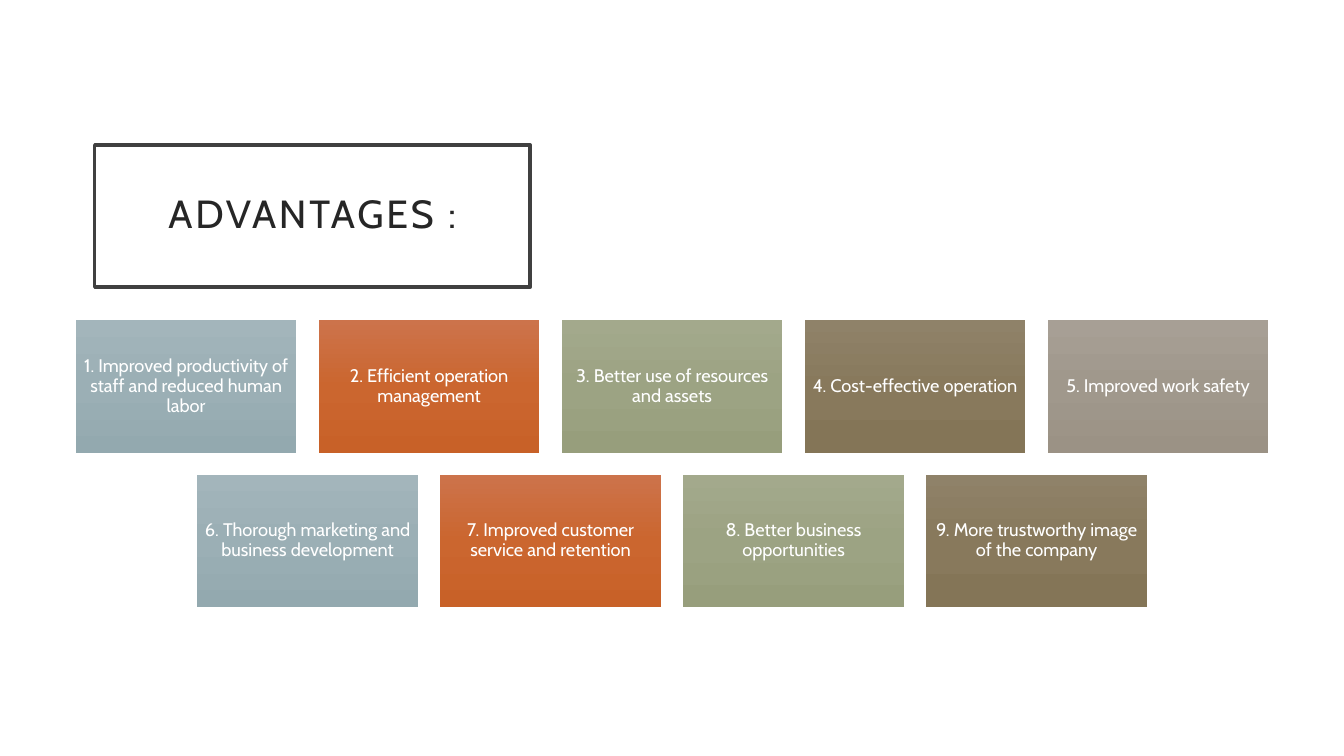
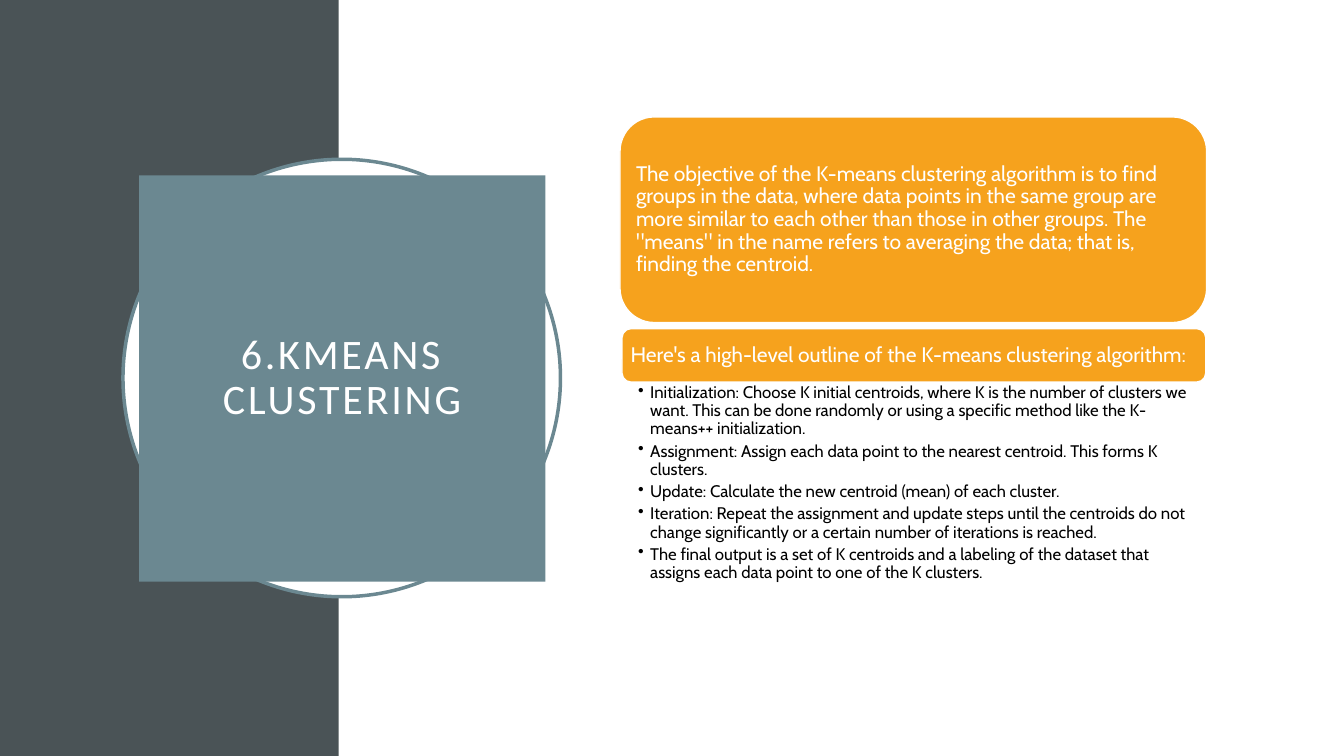
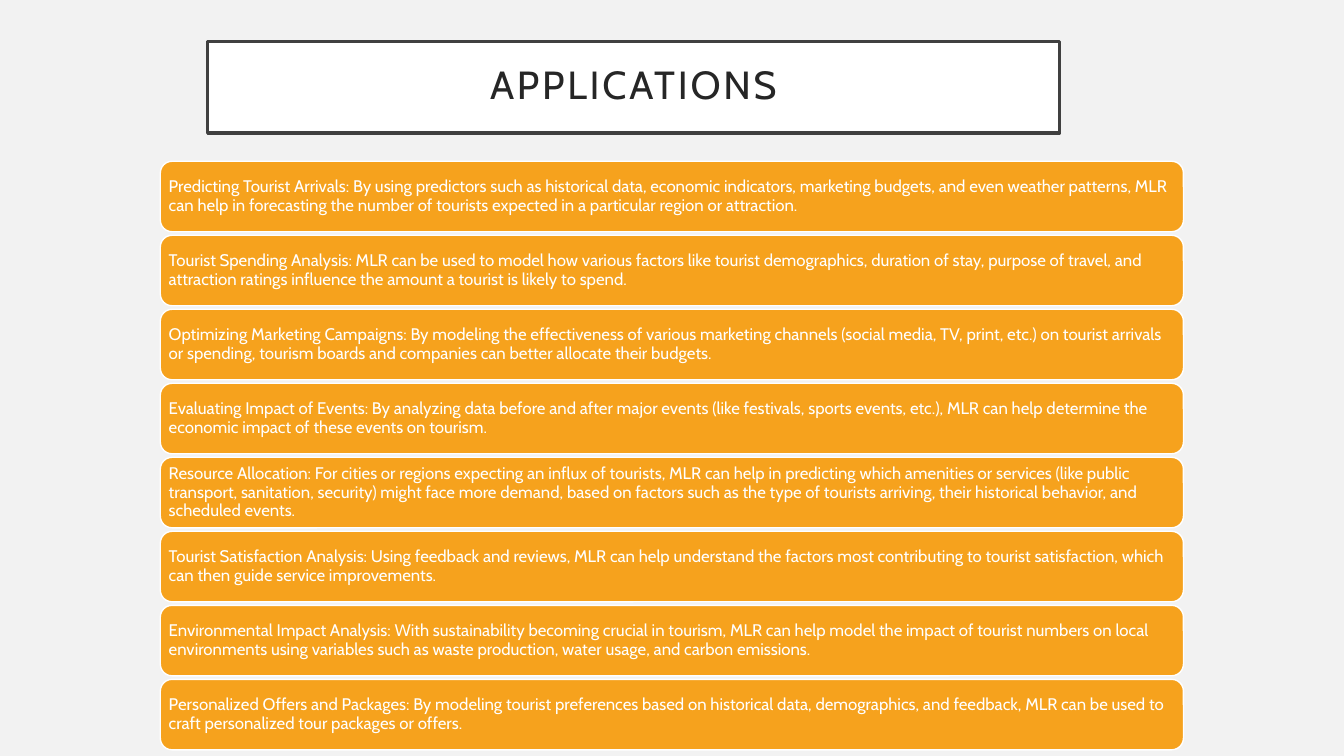
from copy import deepcopy

from pptx import Presentation
from pptx.dml.color import RGBColor
from pptx.enum.shapes import MSO_SHAPE
from pptx.enum.text import MSO_ANCHOR, MSO_AUTO_SIZE, PP_ALIGN
from pptx.oxml.ns import qn
from pptx.oxml.xmlchemy import OxmlElement
from pptx.util import Inches, Pt

COLOURS = {
    "white": "FFFFFF", "black": "000000", "ink": "262626", "frame": "404040",
    "pale": "F2F2F2", "slate": "4A5356", "teal": "6B8891", "amber": "F6A21D",
}
CARD_GRADIENTS = [
    ("A3B5BB", "9BAFB5", "93A9AF"),
    ("CC734B", "CB662F", "C86128"),
    ("A3A98C", "9CA383", "979E7C"),
    ("8F8269", "88795C", "847557"),
    ("A79F95", "A0988C", "9B9285"),
]
FONT = "Cabin"

presentation = Presentation()
presentation.slide_width = Inches(13.33)
presentation.slide_height = Inches(7.5)
# Every box is given on a grid of 100 columns by 100 rows.
COLUMN = presentation.slide_width / 100
ROW = presentation.slide_height / 100
TITLE_ONLY = presentation.slide_layouts[5]


def add_panel(slide, kind, box, fill=None, line=None, line_width=2.5):
    """Place a shape on the grid; kind "title" or "text" gives the title or a text box."""
    left, top, width, height = box
    place = [round(n) for n in (left * COLUMN, top * ROW, width * COLUMN, height * ROW)]
    if kind == "title":
        shape = slide.shapes.title
        shape.left, shape.top, shape.width, shape.height = place
        # Bring the title in front of the shapes already drawn.
        shape.element.getparent().append(shape.element)
    elif kind == "text":
        return slide.shapes.add_textbox(*place)
    else:
        shape = slide.shapes.add_shape(kind, *place)
        shape.shadow.inherit = False
    if fill:
        shape.fill.solid()
        shape.fill.fore_color.rgb = RGBColor.from_string(COLOURS[fill])
    if line:
        shape.line.color.rgb = RGBColor.from_string(COLOURS[line])
        shape.line.width = Pt(line_width)
    else:
        shape.line.fill.background()
    return shape


def write(shape, lines, size, colour="white", insets=(0.05,) * 4, font=FONT,
          align=PP_ALIGN.LEFT, anchor=MSO_ANCHOR.MIDDLE, spacing=0, bullet=False):
    frame = shape.text_frame
    frame.word_wrap = True
    frame.auto_size = MSO_AUTO_SIZE.NONE
    frame.vertical_anchor = anchor
    (frame.margin_left, frame.margin_top,
     frame.margin_right, frame.margin_bottom) = map(Inches, insets)
    frame.text = "\n".join(lines)
    for paragraph in frame.paragraphs:
        paragraph.alignment = align
        paragraph.line_spacing = 0.9
        if bullet:
            paragraph.space_after = Pt(3)
            properties = paragraph._p.get_or_add_pPr()
            properties.set("marL", str(Inches(0.12)))
            properties.set("indent", str(-Inches(0.12)))
            mark = OxmlElement("a:buChar")
            mark.set("char", "•")
            properties.append(mark)
        paragraph.font.name = font
        paragraph.font.size = Pt(size)
        paragraph.font.color.rgb = RGBColor.from_string(COLOURS[colour])
        if spacing:
            for run in paragraph.runs:
                run._r.get_or_add_rPr().set("spc", str(spacing * 100))


TITLE_TEXT = dict(insets=(0.2,) * 4, align=PP_ALIGN.CENTER, spacing=2)

# Slide 1: advantages
slide = presentation.slides.add_slide(TITLE_ONLY)
title = add_panel(slide, "title", (7.05, 19.2, 32.4, 18.8), "white", "frame")
write(title, ["ADVANTAGES :"], 28, "ink", **TITLE_TEXT)

CARD_ROWS = [
    ["1. Improved productivity of staff and reduced human labor",
     "2. Efficient operation management",
     "3. Better use of resources and assets",
     "4. Cost-effective operation",
     "5. Improved work safety"],
    ["6. Thorough marketing and business development",
     "7. Improved customer service and retention",
     "8. Better business opportunities",
     "9. More trustworthy image of the company"],
]
CARD_WIDTH, CARD_HEIGHT, CARD_GAP = 16.43, 17.5, 1.65
for row, cards in enumerate(CARD_ROWS):
    pitch = CARD_WIDTH + CARD_GAP
    row_left = 50 - (len(cards) * pitch - CARD_GAP) / 2
    for column, (text, gradient) in enumerate(zip(cards, CARD_GRADIENTS)):
        card = add_panel(slide, MSO_SHAPE.RECTANGLE,
                         (row_left + column * pitch, 42.4 + row * 20.4,
                          CARD_WIDTH, CARD_HEIGHT))
        card.fill.gradient()
        card.fill.gradient_angle = 270
        stop_list = card.element.find(".//" + qn("a:gsLst"))
        stop_list.insert(1, deepcopy(stop_list[0]))
        for index, stop in enumerate(card.fill.gradient_stops):
            stop.position = index / 2
            stop.color.rgb = RGBColor.from_string(gradient[index])
        write(card, [text], 13, align=PP_ALIGN.CENTER)

# Slide 2: k-means clustering
slide = presentation.slides.add_slide(TITLE_ONLY)
add_panel(slide, MSO_SHAPE.RECTANGLE, (0, 0, 25.2, 100), "slate")
add_panel(slide, MSO_SHAPE.OVAL, (9.15, 21.07, 32.55, 57.87), "white", "teal")
title = add_panel(slide, "title", (10.35, 23.2, 30.23, 53.73), "teal")
write(title, ["6.KMEANS CLUSTERING"], 30, font="Calibri", **TITLE_TEXT)

STATEMENTS = [
    ((46.13, 15.47, 43.65, 27.2),
     "The objective of the K-means clustering algorithm is to find groups in the data, "
     "where data points in the same group are more similar to each other than those in "
     "other groups. The \"means\" in the name refers to averaging the data; that is, "
     "finding the centroid."),
    ((46.28, 43.47, 43.43, 7.07),
     "Here's a high-level outline of the K-means clustering algorithm:"),
]
for box, text in STATEMENTS:
    statement = add_panel(slide, MSO_SHAPE.ROUNDED_RECTANGLE, box, "amber", "white", 1)
    write(statement, [text], 15, insets=(0.06,) * 4)

STEPS = [
    "Initialization: Choose K initial centroids, where K is the number of clusters we "
    "want. This can be done randomly or using a specific method like the K-means++ "
    "initialization.",
    "Assignment: Assign each data point to the nearest centroid. This forms K clusters.",
    "Update: Calculate the new centroid (mean) of each cluster.",
    "Iteration: Repeat the assignment and update steps until the centroids do not change "
    "significantly or a certain number of iterations is reached.",
    "The final output is a set of K centroids and a labeling of the dataset that assigns "
    "each data point to one of the K clusters.",
]
steps = add_panel(slide, "text", (46.13, 50.53, 43.65, 35.6))
write(steps, STEPS, 12, "black", (0.18, 0.02, 0.12, 0.02),
      anchor=MSO_ANCHOR.TOP, bullet=True)

# Slide 3: applications
slide = presentation.slides.add_slide(TITLE_ONLY)
slide.background.fill.solid()
slide.background.fill.fore_color.rgb = RGBColor.from_string(COLOURS["pale"])
title = add_panel(slide, "title", (15.45, 5.47, 63.38, 12.13), "white", "frame")
write(title, ["APPLICATIONS"], 28, "ink", **TITLE_TEXT)

APPLICATIONS = [
    "Predicting Tourist Arrivals: By using predictors such as historical data, economic "
    "indicators, marketing budgets, and even weather patterns, MLR can help in forecasting "
    "the number of tourists expected in a particular region or attraction.",
    "Tourist Spending Analysis: MLR can be used to model how various factors like tourist "
    "demographics, duration of stay, purpose of travel, and attraction ratings influence "
    "the amount a tourist is likely to spend.",
    "Optimizing Marketing Campaigns: By modeling the effectiveness of various marketing "
    "channels (social media, TV, print, etc.) on tourist arrivals or spending, tourism "
    "boards and companies can better allocate their budgets.",
    "Evaluating Impact of Events: By analyzing data before and after major events (like "
    "festivals, sports events, etc.), MLR can help determine the economic impact of these "
    "events on tourism.",
    "Resource Allocation: For cities or regions expecting an influx of tourists, MLR can "
    "help in predicting which amenities or services (like public transport, sanitation, "
    "security) might face more demand, based on factors such as the type of tourists "
    "arriving, their historical behavior, and scheduled events.",
    "Tourist Satisfaction Analysis: Using feedback and reviews, MLR can help understand "
    "the factors most contributing to tourist satisfaction, which can then guide service "
    "improvements.",
    "Environmental Impact Analysis: With sustainability becoming crucial in tourism, MLR "
    "can help model the impact of tourist numbers on local environments using variables "
    "such as waste production, water usage, and carbon emissions.",
    "Personalized Offers and Packages: By modeling tourist preferences based on historical "
    "data, demographics, and feedback, MLR can be used to craft personalized tour packages "
    "or offers.",
]
for row, text in enumerate(APPLICATIONS):
    bar = add_panel(slide, MSO_SHAPE.ROUNDED_RECTANGLE,
                    (11.93, 21.33 + row * 9.79, 76.13, 9.33), "amber", "white", 1)
    write(bar, [text], 12)

presentation.save("out.pptx")
